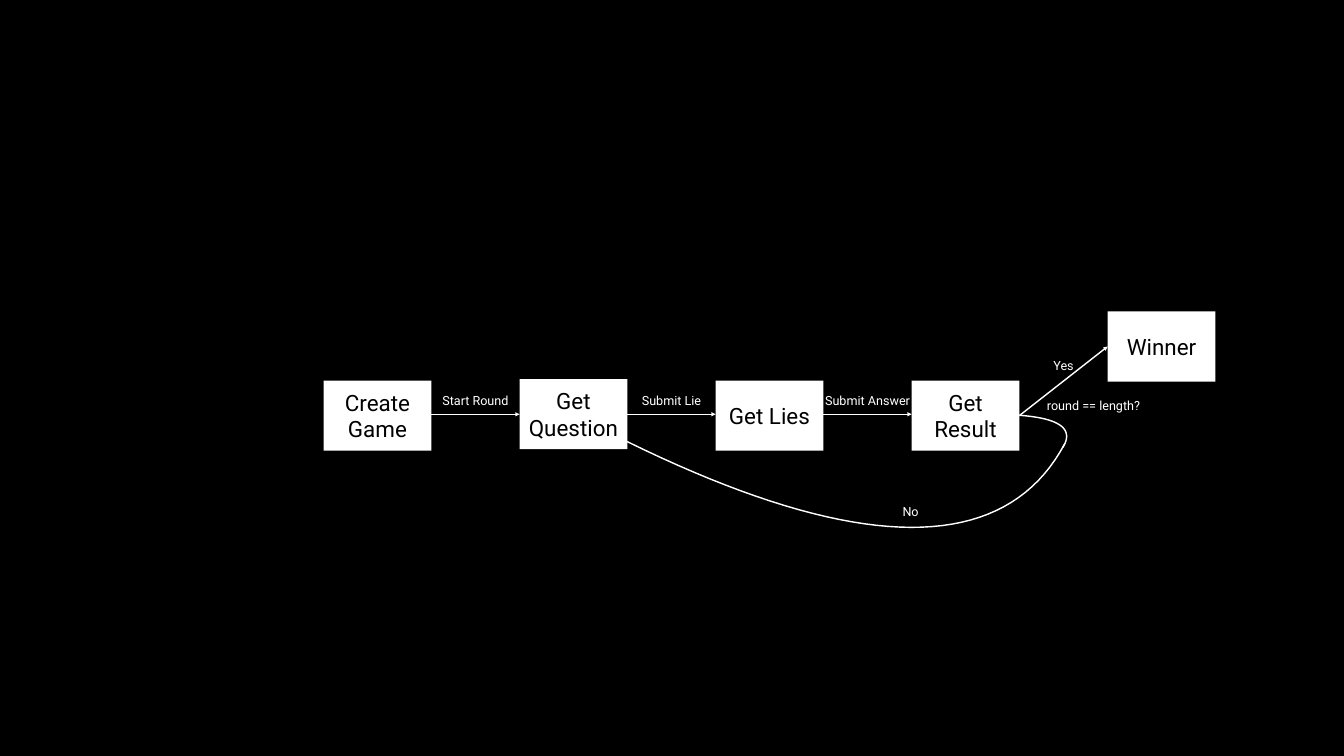
"""Draw the flow of a quiz game, from creating a game to its winner."""
from lxml import etree
from pptx import Presentation
from pptx.dml.color import RGBColor
from pptx.enum.shapes import MSO_CONNECTOR, MSO_SHAPE
from pptx.enum.text import MSO_ANCHOR, MSO_AUTO_SIZE, PP_ALIGN
from pptx.oxml.ns import qn
from pptx.util import Inches, Pt

RECT = MSO_SHAPE.RECTANGLE
LINE = MSO_CONNECTOR.STRAIGHT
MIDDLE = MSO_ANCHOR.MIDDLE
CENTER = PP_ALIGN.CENTER
GROW = MSO_AUTO_SIZE.SHAPE_TO_FIT_TEXT
FIXED = MSO_AUTO_SIZE.NONE

WHITE, BLACK = "FFFFFF", "000000"
LEFT, PITCH = 6.42, 3.89
WIDE, HIGH = 2.14, 1.39
AXIS = 8.22
TALL = 0.41


def tint(color, code):
    color.rgb = RGBColor.from_string(code)


def write(shape, text, size=18, color=WHITE, wrap=False, fit=GROW):
    frame = shape.text_frame
    frame.word_wrap = wrap
    frame.auto_size = fit
    frame.vertical_anchor = MIDDLE
    frame.margin_left = frame.margin_right = Inches(0.06)
    frame.margin_top = frame.margin_bottom = Inches(0.06)
    para = frame.paragraphs[0]
    para.alignment = CENTER
    run = para.add_run()
    run.text = text
    run.font.size = Pt(size)
    run.font.name = "Roboto"
    tint(run.font.color, color)


deck = Presentation()
deck.slide_width, deck.slide_height = Inches(26.67), Inches(15)
slide = deck.slides.add_slide(deck.slide_layouts[6])
slide.background.fill.solid()
tint(slide.background.fill.fore_color, BLACK)
shapes = slide.shapes

steps = [
    ("Create Game", 7.55),
    ("Get Question", 7.52),
    ("Get Lies", 7.55),
    ("Get Result", 7.55),
    ("Winner", 6.18),
]
boxes = []
for col, (name, top) in enumerate(steps):
    left = LEFT + col * PITCH
    box = shapes.add_shape(
        RECT, Inches(left), Inches(top), Inches(WIDE), Inches(HIGH))
    box.shadow.inherit = False
    box.fill.solid()
    tint(box.fill.fore_color, WHITE)
    box.line.fill.background()
    write(box, name, size=32, color=BLACK, wrap=True, fit=FIXED)
    boxes.append(box)

for start, end in zip(boxes, boxes[1:]):
    arrow = shapes.add_connector(LINE, 0, 0, 0, 0)
    arrow.begin_connect(start, 3)
    arrow.end_connect(end, 1)
    if end is not boxes[-1]:
        arrow.begin_y = arrow.end_y = Inches(AXIS)
    arrow.line.width = Pt(2)
    tint(arrow.line.color, WHITE)
    props = arrow._element.spPr
    edge = props.find(qn("a:ln"))
    etree.SubElement(edge, qn("a:tailEnd"), type="triangle")
    etree.SubElement(props, qn("a:effectLst"))

gap = LEFT + (WIDE + PITCH) / 2
labels = [
    ("Start Round", gap, 7.74, 1.5),
    ("Submit Lie", gap + PITCH, 7.74, 1.35),
    ("Submit Answer", gap + 2 * PITCH, 7.74, 1.85),
    ("Yes", gap + 3 * PITCH, 7.04, 0.65),
    ("round == length?", 21.7, 7.84, 2.1),
    ("No", 18.07, 9.95, 0.55),
]
for text, mid, top, wide in labels:
    label = shapes.add_textbox(
        Inches(mid - wide / 2), Inches(top), Inches(wide), Inches(TALL))
    write(label, text)

curves = [
    [(12.44, 8.76), (17.05, 11.02), (19.95, 11.03), (21.13, 8.8)],
    [(21.09, 8.88), (21.32, 8.51), (21.03, 8.3), (20.23, 8.24)],
]
COUNT = 40
for ends in curves:
    dots = []
    for step in range(COUNT + 1):
        t = step / COUNT
        parts = ((1 - t) ** 3, 3 * t * (1 - t) ** 2, 3 * t ** 2 * (1 - t), t ** 3)
        dots.append([Inches(sum(w * v for w, v in zip(parts, axis)))
                     for axis in zip(*ends)])
    pen = shapes.build_freeform(*dots[0])
    pen.add_line_segments(dots[1:], close=False)
    curve = pen.convert_to_shape()
    curve.shadow.inherit = False
    curve.fill.background()
    curve.line.width = Pt(2)
    tint(curve.line.color, WHITE)

deck.save("out.pptx")
